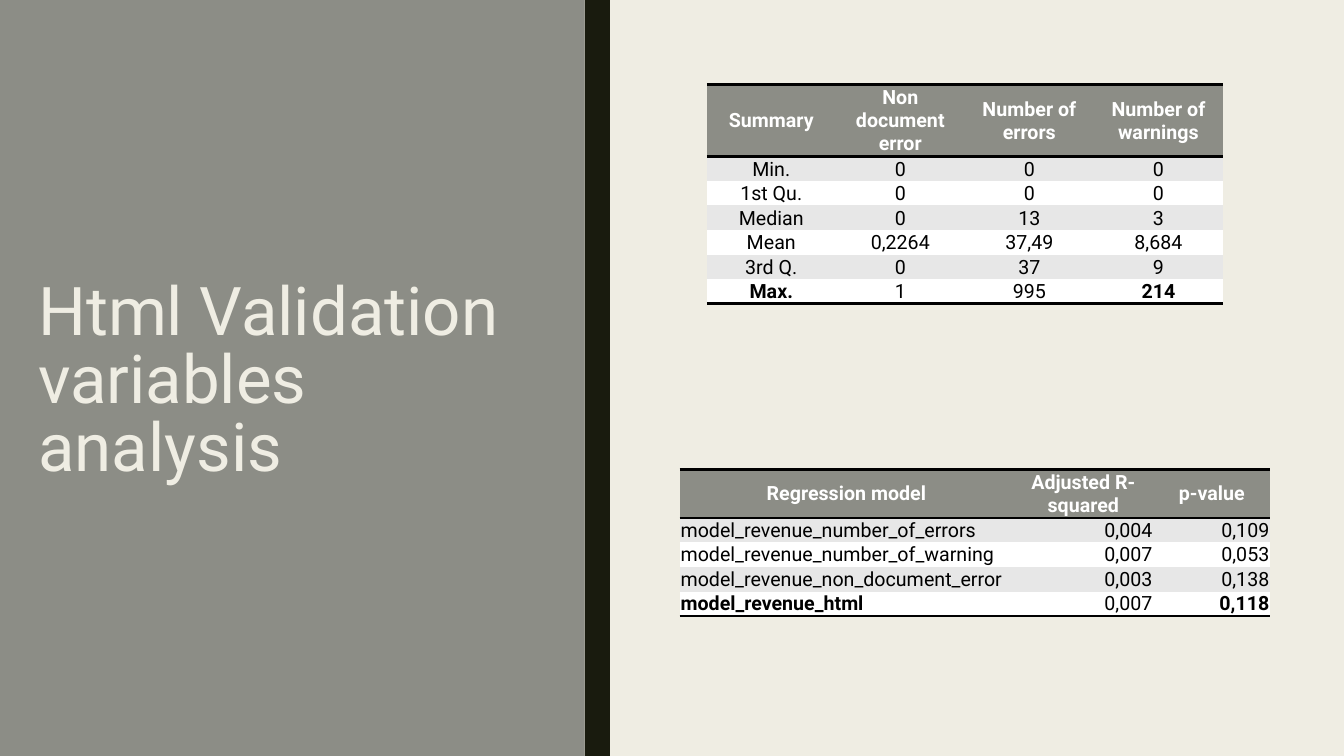
from lxml import etree
from pptx import Presentation, util as u
from pptx.dml.color import RGBColor
from pptx.enum import shapes, text
from pptx.oxml import ns

GREY = RGBColor(0x8C, 0x8D, 0x86)
DARK = RGBColor(0x19, 0x1B, 0x0E)
CREAM = RGBColor(0xEF, 0xED, 0xE3)
BAND = RGBColor(0xE7, 0xE7, 0xE7)
WHITE = RGBColor(0xFF, 0xFF, 0xFF)
BLACK = RGBColor(0, 0, 0)

FONT = "Roboto"
NO_STYLE = "{2D5ABB26-0587-4C30-8999-92F81FD0307C}"
WIDTH, HEIGHT = 13.33, 7.5
LEFT, CENTER, RIGHT = text.PP_ALIGN.LEFT, text.PP_ALIGN.CENTER, text.PP_ALIGN.RIGHT
MIDDLE, BOTTOM = text.MSO_ANCHOR.MIDDLE, text.MSO_ANCHOR.BOTTOM

SUMMARY = [
    ["Summary", "Non document error", "Number of errors", "Number of warnings"],
    ["Min.", "0", "0", "0"],
    ["1st Qu.", "0", "0", "0"],
    ["Median", "0", "13", "3"],
    ["Mean", "0,2264", "37,49", "8,684"],
    ["3rd Q.", "0", "37", "9"],
    ["Max.", "1", "995", "214"],
]
REGRESSION = [
    ["Regression model", "Adjusted R-squared", "p-value"],
    ["model_revenue_number_of_errors", "0,004", "0,109"],
    ["model_revenue_number_of_warning", "0,007", "0,053"],
    ["model_revenue_non_document_error", "0,003", "0,138"],
    ["model_revenue_html", "0,007", "0,118"],
]


def inches(*lengths):
    return [u.Inches(length) for length in lengths]


def add_run(paragraph, wording, size, color, bold=False):
    run = paragraph.add_run()
    run.text = wording
    run.font.name, run.font.size, run.font.bold = FONT, u.Pt(size), bold
    run.font.color.rgb = color


def add_panel(slide, box, color):
    panel = slide.shapes.add_shape(shapes.MSO_SHAPE.RECTANGLE, *inches(*box))
    panel.shadow.inherit = False
    panel.fill.solid()
    panel.fill.fore_color.rgb = color
    panel.line.fill.background()


def add_title_side(slide, box, lines):
    """Grey panel with a dark strip on its right edge and a centred title."""
    left, top, width, height = box
    strip = 0.25
    add_panel(slide, (left, top, width - strip, height), GREY)
    add_panel(slide, (left + width - strip, top, strip, height), DARK)

    title = slide.shapes.add_textbox(
        *inches(left + 0.28, top + 0.1, width - 0.9, height - 0.1))
    frame = title.text_frame
    frame.word_wrap = True
    frame.vertical_anchor = MIDDLE
    paragraph = frame.paragraphs[0]
    paragraph.line_spacing = 0.84
    for index, line in enumerate(lines):
        if index:
            paragraph.add_line_break()
        add_run(paragraph, line, 48, CREAM)


def add_rules(cell, sides):
    """Black 2 pt lines on the given sides, placed ahead of the cell's fill."""
    properties = cell._tc.get_or_add_tcPr()
    for position, side in enumerate(sides):
        line = etree.Element(ns.qn("a:ln" + side), w=str(u.Pt(2)))
        fill = etree.SubElement(line, ns.qn("a:solidFill"))
        etree.SubElement(fill, ns.qn("a:srgbClr"), val=str(BLACK))
        properties.insert(position, line)


def add_data_table(slide, box, rows, columns, header, alignments, anchor):
    """Ruled, banded table; the last row has bold first and last cells."""
    last_row, last_column = len(rows) - 1, len(columns) - 1
    table = slide.shapes.add_table(
        len(rows), len(columns), *inches(*box)).table
    table.first_row = table.horz_banding = False
    table._tbl.tblPr.find(ns.qn("a:tableStyleId")).text = NO_STYLE

    for column, width in zip(table.columns, columns):
        column.width = u.Inches(width)
    for row in table.rows:
        row.height = u.Inches((box[3] - header) / last_row)
    table.rows[0].height = u.Inches(header)

    for r, values in enumerate(rows):
        for c, value in enumerate(values):
            cell = table.cell(r, c)
            cell.margin_left = cell.margin_right = cell.margin_top = u.Inches(0.01)
            cell.margin_bottom = 0
            cell.vertical_anchor = anchor if r else MIDDLE
            cell.fill.solid()
            cell.fill.fore_color.rgb = (BAND if r % 2 else WHITE) if r else GREY
            add_rules(cell, "TB" if r == 0 else "B" if r == last_row else "")

            paragraph = cell.text_frame.paragraphs[0]
            paragraph.alignment = alignments[c] if r else CENTER
            bold = r == 0 or (r == last_row and c in (0, last_column))
            add_run(paragraph, value, 14, BLACK if r else WHITE, bold)


def main():
    presentation = Presentation()
    presentation.slide_width, presentation.slide_height = inches(WIDTH, HEIGHT)
    slide = presentation.slides.add_slide(presentation.slide_layouts[6])
    slide.background.fill.solid()
    slide.background.fill.fore_color.rgb = CREAM

    # Left side: title
    add_title_side(slide, (0, 0, 6.05, HEIGHT),
                   ["Html Validation", "variables", "analysis"])

    # Right side: summary above, regression models below
    add_data_table(slide, (7.01, 0.84, 5.12, 1.91), SUMMARY, [1.28] * 4,
                   0.64, [CENTER] * 4, BOTTOM)
    add_data_table(slide, (6.74, 4.66, 5.86, 1.03), REGRESSION,
                   [3.31, 1.39, 1.16], 0.19, [LEFT, RIGHT, RIGHT], MIDDLE)

    presentation.save("out.pptx")


if __name__ == "__main__":
    main()
